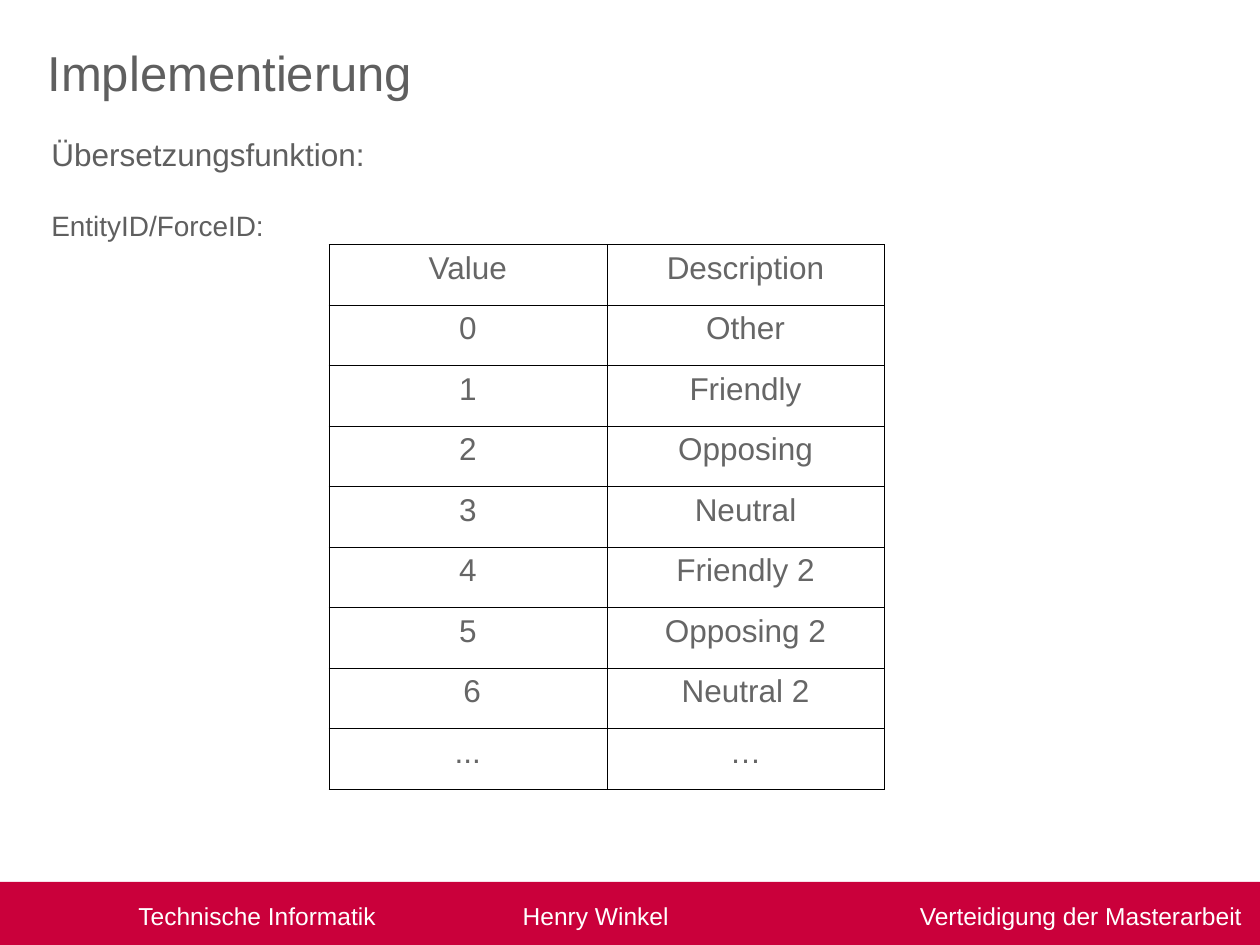
from lxml import etree
from pptx import Presentation
from pptx.dml.color import RGBColor
from pptx.enum.shapes import MSO_SHAPE
from pptx.enum.text import MSO_ANCHOR, PP_ALIGN
from pptx.oxml.ns import qn
from pptx.util import Inches, Pt

RED = RGBColor(0xCA, 0x00, 0x3B)
WHITE = RGBColor(0xFF, 0xFF, 0xFF)
TEXT_GRAY = RGBColor(0x5F, 0x5F, 0x5F)
TABLE_GRAY = RGBColor(0x66, 0x66, 0x66)
BORDER_COLOR = "000000"
BORDER_WIDTH = Pt(0.06)

FORCE_ROWS = [
    ("Value", "Description"),
    ("0", "Other"),
    ("1", "Friendly"),
    ("2", "Opposing"),
    ("3", "Neutral"),
    ("4", "Friendly 2"),
    ("5", "Opposing 2"),
    (" 6", "Neutral 2"),
    ("...", "…"),
]


def write(paragraph, text, size, color, **formats):
    """Put one formatted run into a paragraph."""
    run = paragraph.add_run()
    run.text = text
    for name, value in {"name": "Arial", "size": Pt(size)}.items():
        setattr(run.font, name, value)
    run.font.color.rgb = color
    for name, value in formats.items():
        setattr(paragraph, name, value)


def add_text(slide, box, lines):
    """Add a text box; each line is (text, size, paragraph formats)."""
    frame = slide.shapes.add_textbox(*map(Inches, box)).text_frame
    frame.word_wrap = True
    for index, (text, size, formats) in enumerate(lines):
        paragraph = frame.add_paragraph() if index else frame.paragraphs[0]
        write(paragraph, text, size, TEXT_GRAY, **formats)


def add_tab_stops(paragraph, stops):
    tab_list = etree.SubElement(paragraph._p.get_or_add_pPr(), qn("a:tabLst"))
    for position, alignment in stops:
        etree.SubElement(tab_list, qn("a:tab"),
                         pos=str(Inches(position)), algn=alignment)


def add_footer(slide, labels, stops):
    bar = slide.shapes.add_shape(
        MSO_SHAPE.RECTANGLE, Inches(0), Inches(7), Inches(10), Inches(0.54))
    bar.shadow.inherit = False
    bar.fill.solid()
    bar.fill.fore_color.rgb = RED
    bar.line.fill.background()
    frame = bar.text_frame
    for name, value in {"word_wrap": True,
                        "vertical_anchor": MSO_ANCHOR.MIDDLE}.items():
        setattr(frame, name, value)
    paragraph = frame.paragraphs[0]
    add_tab_stops(paragraph, stops)
    write(paragraph, "".join("\t" + label for label in labels), 14, WHITE,
          alignment=PP_ALIGN.LEFT)


def add_borders(cell):
    properties = cell._tc.get_or_add_tcPr()
    for side in ("lnL", "lnR", "lnT", "lnB"):
        line = etree.SubElement(properties, qn(f"a:{side}"), w=str(BORDER_WIDTH))
        fill = etree.SubElement(line, qn("a:solidFill"))
        etree.SubElement(fill, qn("a:srgbClr"), val=BORDER_COLOR)


def add_force_table(slide, box, rows):
    table = slide.shapes.add_table(
        len(rows), len(rows[0]), *map(Inches, box)).table
    for name in ("first_row", "horz_banding"):
        setattr(table, name, False)
    for row_index, row in enumerate(rows):
        for column_index, text in enumerate(row):
            cell = table.cell(row_index, column_index)
            add_borders(cell)
            cell.fill.background()
            write(cell.text_frame.paragraphs[0], text, 18, TABLE_GRAY,
                  alignment=PP_ALIGN.CENTER)


def main():
    presentation = Presentation()
    presentation.slide_width = Inches(10)
    presentation.slide_height = Inches(7.5)
    slide = presentation.slides.add_slide(presentation.slide_layouts[6])

    # Footer bar
    add_footer(slide,
               ["Technische Informatik", "Henry Winkel",
                "Verteidigung der Masterarbeit"],
               [(1, "l"), (4.05, "l"), (9.76, "r")])

    # Title and headings
    add_text(slide, (0.28, 0.29, 7.87, 0.79), [("Implementierung", 28, {})])
    add_text(slide, (0.31, 1.02, 3.54, 0.42), [
        ("Übersetzungsfunktion:", 18, {}),
        ("EntityID/ForceID:", 16, {"space_before": Pt(20.7)}),
    ])

    # Table of force values
    add_force_table(slide, (2.61, 1.94, 4.41, 4.32), FORCE_ROWS)

    presentation.save("out.pptx")


if __name__ == "__main__":
    main()
